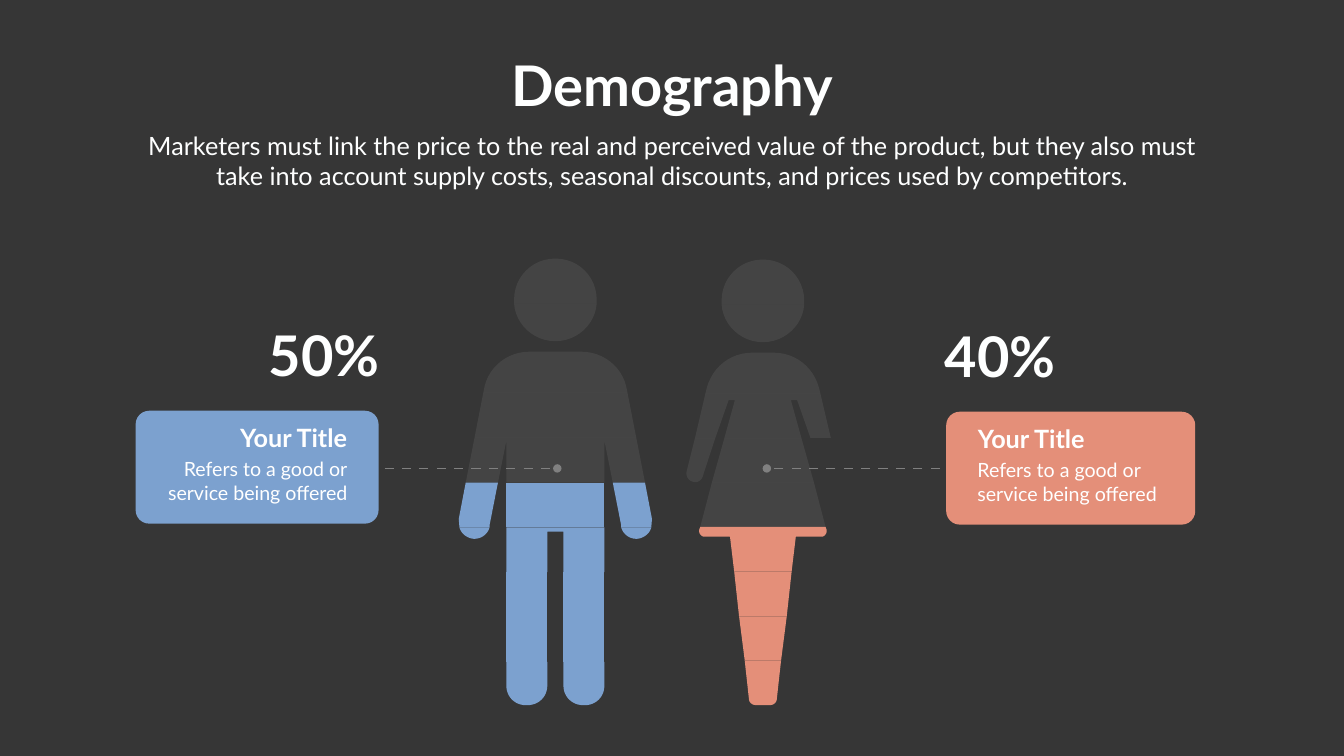
from dataclasses import dataclass
from typing import Optional

from lxml import etree
from pptx import Presentation
from pptx.dml.color import RGBColor
from pptx.enum.shapes import MSO_CONNECTOR, MSO_SHAPE
from pptx.enum.text import MSO_ANCHOR, PP_ALIGN
from pptx.oxml.ns import qn
from pptx.util import Pt

LEFT, CENTER, RIGHT = PP_ALIGN.LEFT, PP_ALIGN.CENTER, PP_ALIGN.RIGHT
TOP = MSO_ANCHOR.TOP
STRAIGHT = MSO_CONNECTOR.STRAIGHT
ROUNDED, OVAL = MSO_SHAPE.ROUNDED_RECTANGLE, MSO_SHAPE.OVAL
TITLE_ONLY = 5
CURVE_STEPS = 12


@dataclass(frozen=True)
class Theme:
    """Colours, type sizes and font of the slide."""
    background: str = "363636"
    grey: str = "808080"
    blue: str = "7CA1CF"
    coral: str = "E48F79"
    white: str = "FFFFFF"
    heading: str = "FEFFFF"
    font: str = "Lato"
    display_size: int = 80
    lead_size: int = 36
    body_size: int = 28
    empty_opacity: int = 20


@dataclass(frozen=True)
class Part:
    """Right-hand outline of a body band; with left_fill it becomes two separate shapes."""
    fill: str
    outline: list
    left_fill: Optional[str] = None


THEME = Theme()
GREY, BLUE, CORAL = THEME.grey, THEME.blue, THEME.coral

HEAD = [
    Part(GREY, [(0, 0), ((33, 0), (59, 26), (59, 59)), (59, 64)]),
    Part(GREY, [(59, 64), ((57, 94), (31, 118), (0, 118))]),
]
MAN = HEAD + [
    Part(GREY, [(37, 133), ((68, 133), (94, 154), (101, 182)), (103, 192)]),
    Part(GREY, [(103, 192), (115.5, 256)]),
    Part(GREY, [(115.5, 256), (128, 320), (82, 320), (70, 260), (70, 320)]),
    Part(BLUE, [(82, 320), (94, 381), (94, 384), (137, 384), (138, 372), (128, 320)], BLUE),
    Part(BLUE, [(70, 320), (70, 384)]),
    Part(BLUE, [(94, 384), ((97, 395), (108, 402), (119.5, 400)),
                ((128, 398), (135, 392), (137, 384))], BLUE),
    Part(BLUE, [(70, 384), (70, 448), (11.5, 448), (11.5, 390)]),
    Part(BLUE, [(11.5, 448), (70, 448), (70, 512), (11.5, 512)], BLUE),
    Part(BLUE, [(11.5, 512), (70, 512), (70, 576), (11.5, 576)], BLUE),
    Part(BLUE, [(70, 576), (70, 610), ((70, 626), (58, 638), (42, 638)), (40, 638),
                ((24, 638), (11.5, 626), (11.5, 610)), (11.5, 576)], BLUE),
]
WOMAN = HEAD + [
    Part(GREY, [(14.5, 133), ((47, 133), (72, 154), (80, 183)), (82, 191)]),
    Part(GREY, [(82, 191), (97, 255), (68, 255), (49, 201), (40, 201), (55, 255)]),
    Part(THEME.background, [(68, 255), (86, 310), ((88, 316), (95, 320), (101, 317)),
                            ((107, 315), (110, 309), (109, 303)), (97, 255)], GREY),
    Part(GREY, [(55, 255), (73, 319)]),
    Part(GREY, [(73, 319), (89.5, 382)]),
    Part(CORAL, [(89.5, 382), (91, 386), ((92, 391), (88, 396), (83.5, 396)),
                 (47, 396), (41, 446)]),
    Part(CORAL, [(41, 446), (34, 510)]),
    Part(CORAL, [(34, 510), (26, 572.5)]),
    Part(CORAL, [(26, 572.5), (20, 627), ((20, 633), (15, 636.5), (10, 636.5))]),
]


def color(value):
    """Turn a hex string into a colour."""
    return RGBColor.from_string(value)


def paint(shape, fill):
    """Give a shape a flat fill without line or shadow."""
    shape.shadow.inherit = False
    shape.fill.solid()
    shape.fill.fore_color.rgb = color(fill)
    shape.line.fill.background()


def flatten(outline):
    """Turn corners and cubic curves into a list of points."""
    points = []
    for item in outline:
        if len(item) == 2:
            points.append(item)
            continue
        controls = (points[-1], *item)
        for step in range(1, CURVE_STEPS + 1):
            t = step / CURVE_STEPS
            weights = ((1 - t) ** 3, 3 * t * (1 - t) ** 2, 3 * t * t * (1 - t), t ** 3)
            points.append(tuple(sum(w * c[axis] for w, c in zip(weights, controls))
                                for axis in (0, 1)))
    return points


def add_outline(slide, center, top, points, fill):
    """Draw one closed band of a figure."""
    placed = [(Pt(center + x), Pt(top + y)) for x, y in points]
    builder = slide.shapes.build_freeform(*placed[0])
    builder.add_line_segments(placed[1:], close=True)
    shape = builder.convert_to_shape()
    paint(shape, fill)
    if fill == THEME.grey:
        value = shape.fill._xPr.find(".//" + qn("a:srgbClr"))
        etree.SubElement(value, qn("a:alpha"), val=str(THEME.empty_opacity * 1000))


def add_figure(slide, center, top, parts):
    """Draw a person, symmetric about the centre line."""
    for part in parts:
        right = flatten(part.outline)
        left = [(-x, y) for x, y in right]
        if part.left_fill is None:
            add_outline(slide, center, top, right + left[::-1], part.fill)
        else:
            add_outline(slide, center, top, right, part.fill)
            add_outline(slide, center, top, left, part.left_fill)


def write(frame, lines, size, fill, align, bold=False, wrap=True):
    """Write one paragraph per line in a text frame."""
    frame.word_wrap = wrap
    frame.vertical_anchor = TOP
    frame.text = "\n".join(lines)
    for paragraph in frame.paragraphs:
        paragraph.alignment = align
        font = paragraph.font
        font.name, font.size, font.bold = THEME.font, Pt(size), bold
        font.color.rgb = color(fill)


def add_text(slide, box, *text, **style):
    """Add a text box."""
    shape = slide.shapes.add_textbox(*map(Pt, box))
    write(shape.text_frame, *text, **style)


def add_header(slide, left, top, width):
    """Place the title and the lead text below it."""
    title = slide.shapes.title
    title.left, title.top, title.width, title.height = map(Pt, (left, top, width, 104.4))
    write(title.text_frame, ["Demography"], THEME.display_size, THEME.heading, CENTER, bold=True)
    lead = ("Marketers must link the price to the real and perceived value of the product, "
            "but they also must take into account supply costs, seasonal discounts, "
            "and prices used by competitors.")
    add_text(slide, (left, top + 114.5, width, 94.3), [lead],
             THEME.lead_size, THEME.heading, CENTER)


def add_card(slide, box, fill, share, align):
    """Place a coloured card with its percentage above."""
    left, top, width, height = box
    card = slide.shapes.add_shape(ROUNDED, *map(Pt, box))
    card.adjustments[0] = 0.12
    paint(card, fill)

    def inner(inset, offset, text_width, text_height):
        """Find a text area measured from the aligned edge of the card."""
        x = left + inset if align == LEFT else left + width - inset - text_width
        return x, top + offset, text_width, text_height

    add_text(slide, inner(-9, -132, 175, 104.4), [share],
             THEME.display_size, THEME.heading, align, bold=True, wrap=False)
    add_text(slide, inner(38, 13, 188, 51), ["Your Title"],
             THEME.lead_size, THEME.white, align, bold=True)
    add_text(slide, inner(37.5, 63, 286, 75), ["Refers to a good or", "service being offered"],
             THEME.body_size, THEME.white, align)


def add_leader(slide, start, end, y):
    """Draw a dashed line that ends in a dot."""
    line = slide.shapes.add_connector(STRAIGHT, Pt(start), Pt(y), Pt(end), Pt(y))
    line.line.color.rgb = color(THEME.grey)
    line.line.width = Pt(1)
    dashes = etree.SubElement(line.line._get_or_add_ln(), qn("a:custDash"))
    etree.SubElement(dashes, qn("a:ds"), d="1300000", sp="1200000")
    etree.SubElement(line._element.spPr, qn("a:effectLst"))
    size = 12
    dot = slide.shapes.add_shape(OVAL, Pt(end - size / 2), Pt(y - size / 2), Pt(size), Pt(size))
    paint(dot, THEME.grey)


def main():
    """Build the slide and save it."""
    presentation = Presentation()
    presentation.slide_width, presentation.slide_height = Pt(1919.5), Pt(1080)
    slide = presentation.slides.add_slide(presentation.slide_layouts[TITLE_ONLY])
    slide.background.fill.solid()
    slide.background.fill.fore_color.rgb = color(THEME.background)
    add_header(slide, 193, 68.4, 1533.6)
    add_figure(slide, 793.2, 369.4, MAN)
    add_figure(slide, 1089.6, 370.8, WOMAN)
    add_card(slide, (193.7, 586.8, 347, 161.3), THEME.blue, "50%", RIGHT)
    add_card(slide, (1351.4, 588.2, 355.7, 161.3), THEME.coral, "40%", LEFT)
    add_leader(slide, 549.4, 796, 669.2)
    add_leader(slide, 1342, 1095.2, 669.2)
    presentation.save("out.pptx")


if __name__ == "__main__":
    main()
